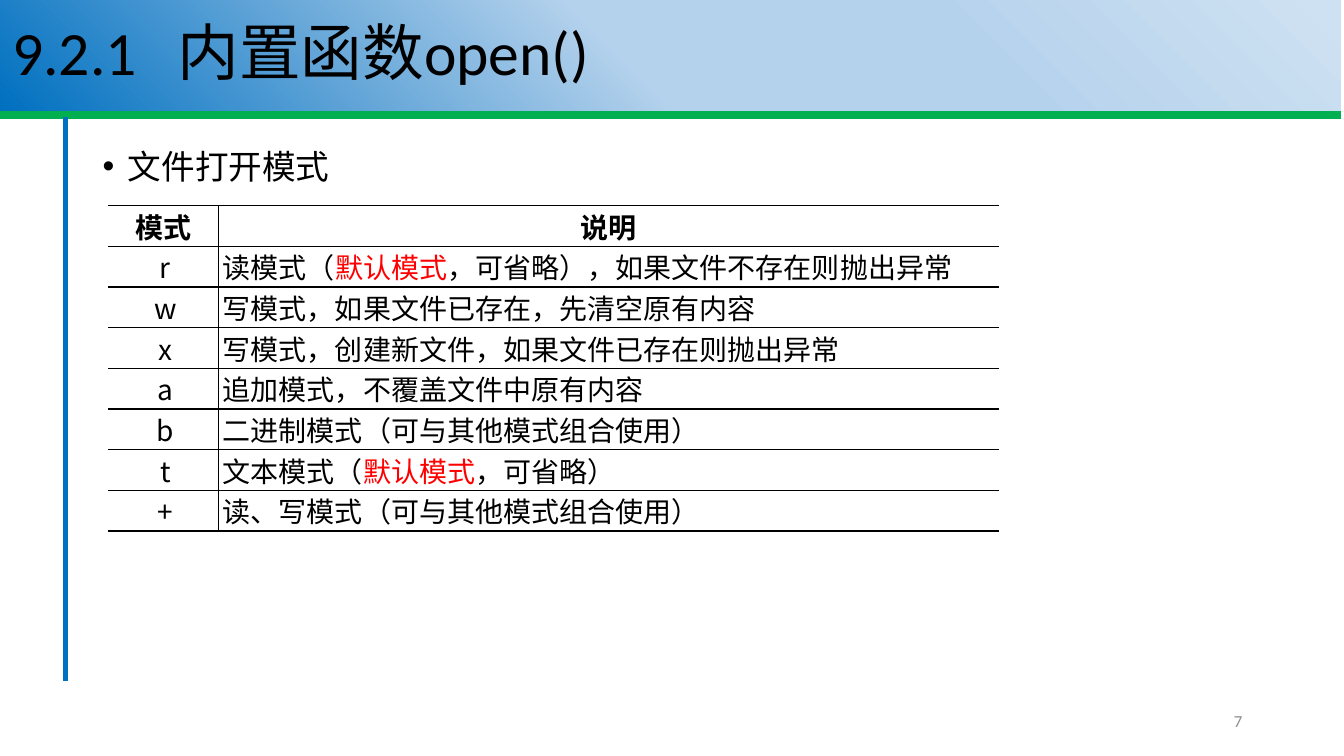
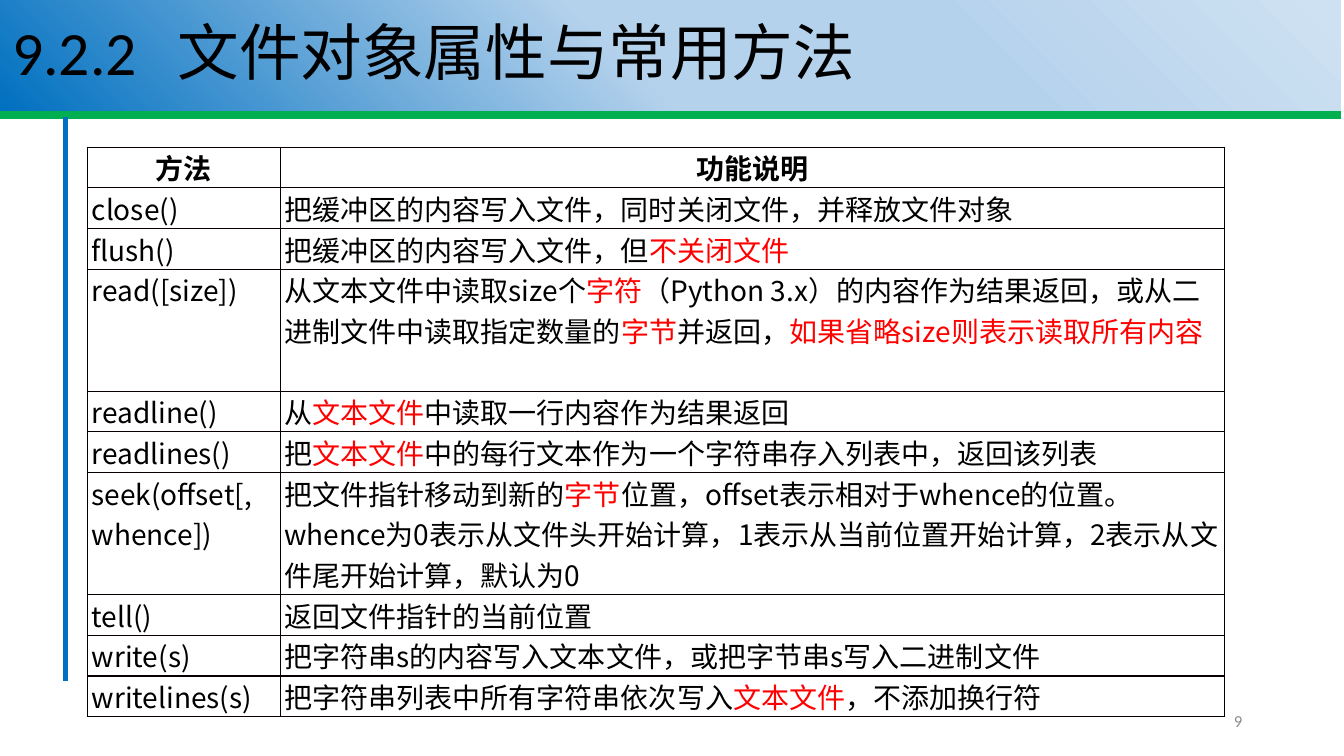
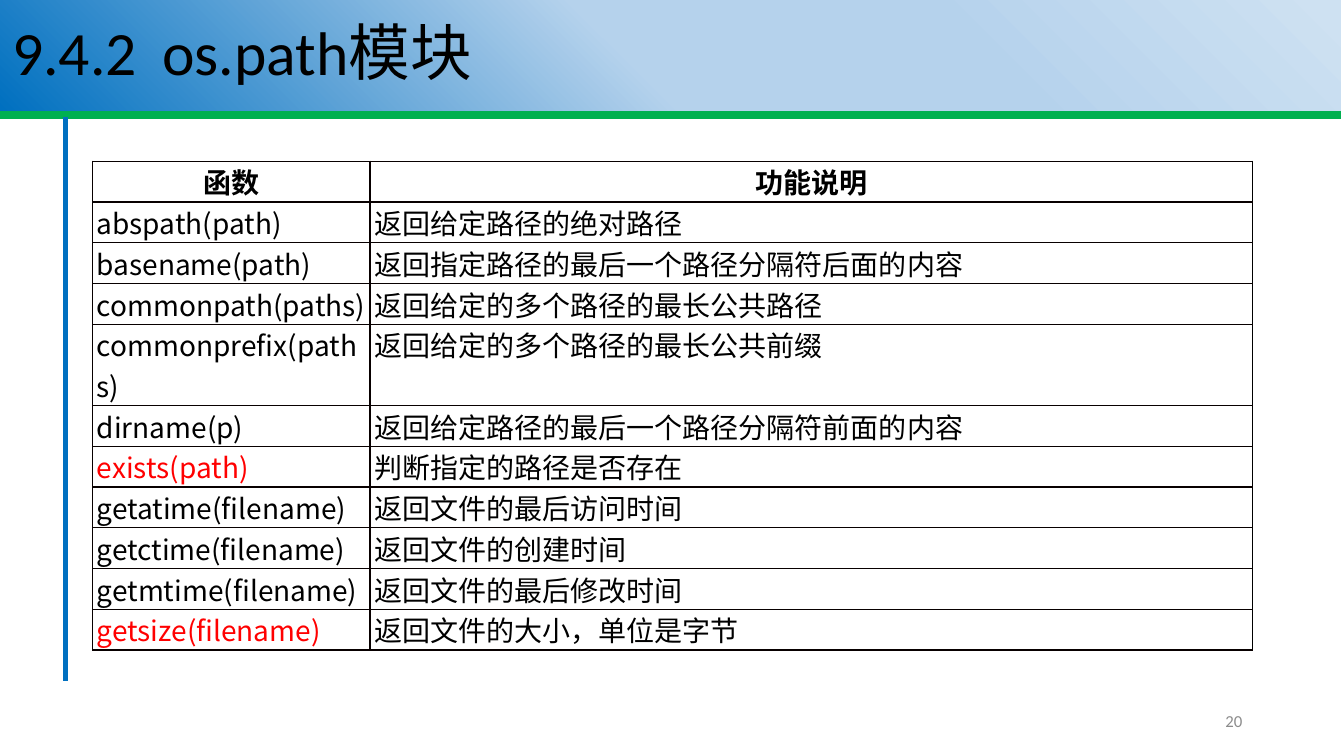
from lxml import etree
from pptx import Presentation
from pptx.dml.color import RGBColor
from pptx.enum.shapes import MSO_CONNECTOR, MSO_SHAPE
from pptx.enum.text import MSO_ANCHOR, PP_ALIGN
from pptx.oxml.ns import qn
from pptx.util import Inches, Pt

STRAIGHT, RECTANGLE = MSO_CONNECTOR.STRAIGHT, MSO_SHAPE.RECTANGLE
MIDDLE = MSO_ANCHOR.MIDDLE
LEFT, CENTER, RIGHT = PP_ALIGN.LEFT, PP_ALIGN.CENTER, PP_ALIGN.RIGHT

BLACK = RGBColor(0x00, 0x00, 0x00)
GRID = RGBColor(0x08, 0x00, 0x00)
RED = RGBColor(0xFF, 0x00, 0x00)
GREEN = RGBColor(0x00, 0xB0, 0x50)
BLUE = RGBColor(0x00, 0x70, 0xC0)
SKY = RGBColor(0xB5, 0xD2, 0xEC)
PALE = RGBColor(0xCE, 0xE1, 0xF2)
GRAY = RGBColor(0x8C, 0x8C, 0x8C)
BAND_STOPS = [(1, PALE), (29, SKY), (53, SKY), (100, BLUE)]

TEXT_FONT, CJK_FONT = "Calibri", "Noto Sans CJK SC"
BAND_BOX = (0, 0, 13.3, 1.1)
NUMBER_BOX = (9.42, 6.95, 3, 0.4)

# Text between asterisks is shown in red.
MODES = [
    ("模式", "说明"),
    ("r", "读模式（*默认模式*，可省略），如果文件不存在则抛出异常"),
    ("w", "写模式，如果文件已存在，先清空原有内容"),
    ("x", "写模式，创建新文件，如果文件已存在则抛出异常"),
    ("a", "追加模式，不覆盖文件中原有内容"),
    ("b", "二进制模式（可与其他模式组合使用）"),
    ("t", "文本模式（*默认模式*，可省略）"),
    ("+", "读、写模式（可与其他模式组合使用）"),
]
METHODS = [
    ("方法", "功能说明"),
    ("close()", "把缓冲区的内容写入文件，同时关闭文件，并释放文件对象"),
    ("flush()", "把缓冲区的内容写入文件，但*不关闭文件*"),
    ("read([size])", "从文本文件中读取size个*字符*（Python 3.x）的内容作为结果返回，"
     "或从二进制文件中读取指定数量的*字节*并返回，*如果省略size则表示读取所有内容*"),
    ("readline()", "从*文本文件*中读取一行内容作为结果返回"),
    ("readlines()", "把*文本文件*中的每行文本作为一个字符串存入列表中，返回该列表"),
    ("seek(offset[, whence])", "把文件指针移动到新的*字节*位置，offset表示相对于whence的位置。"
     "whence为0表示从文件头开始计算，1表示从当前位置开始计算，2表示从文件尾开始计算，默认为0"),
    ("tell()", "返回文件指针的当前位置"),
    ("write(s)", "把字符串s的内容写入文本文件，或把字节串s写入二进制文件"),
    ("writelines(s)", "把字符串列表中所有字符串依次写入*文本文件*，不添加换行符"),
]
FUNCTIONS = [
    ("函数", "功能说明"),
    ("abspath(path)", "返回给定路径的绝对路径"),
    ("basename(path)", "返回指定路径的最后一个路径分隔符后面的内容"),
    ("commonpath(paths)", "返回给定的多个路径的最长公共路径"),
    ("commonprefix(paths)", "返回给定的多个路径的最长公共前缀"),
    ("dirname(p)", "返回给定路径的最后一个路径分隔符前面的内容"),
    ("*exists(path)*", "判断指定的路径是否存在"),
    ("getatime(filename)", "返回文件的最后访问时间"),
    ("getctime(filename)", "返回文件的创建时间"),
    ("getmtime(filename)", "返回文件的最后修改时间"),
    ("*getsize(filename)*", "返回文件的大小，单位是字节"),
]


def inches(box):
    """Turn a left, top, width, height box into lengths."""
    return [Inches(value) for value in box]


def add_xml(parent, tag, **attributes):
    """Append a drawing element with the given attributes."""
    return etree.SubElement(parent, qn(tag), attributes)


def write_text(frame, text, size=20, font=TEXT_FONT, color=BLACK, bold=False,
               align=LEFT, spacing=None, before=None):
    """Write one formatted paragraph into a text frame and return it."""
    frame.word_wrap = True
    para = frame.paragraphs[0]
    para.alignment = align
    if spacing is not None:
        para.line_spacing = spacing
    if before is not None:
        para.space_before = Pt(before)
    for index, piece in enumerate(text.split("*")):
        if not piece:
            continue
        span = para.add_run()
        span.text = piece
        span.font.size = Pt(size)
        span.font.name = font
        span.font.bold = bold
        span.font.color.rgb = RED if index % 2 else color
        add_xml(span.font._element, "a:ea", typeface=CJK_FONT)
    return para


def add_rule(page, start, end, color, width):
    """Draw a straight line between two points."""
    rule = page.shapes.add_connector(STRAIGHT, *inches(start + end))
    rule.line.color.rgb = color
    rule.line.width = Pt(width)
    add_xml(rule._element.spPr, "a:effectLst")


def add_title_band(page, box, number, title, title_indent):
    """Draw the gradient band with the section number and its title."""
    band = page.shapes.add_shape(RECTANGLE, *inches(box))
    band.shadow.inherit = False
    band.line.fill.background()
    band.fill.gradient()
    band.fill.gradient_angle = 225
    stops = band._element.spPr.find(".//" + qn("a:gsLst"))
    stops.clear()
    for position, color in BAND_STOPS:
        stop = add_xml(stops, "a:gs", pos=str(position * 1000))
        add_xml(stop, "a:srgbClr", val=str(color))
    band.text_frame.vertical_anchor = MIDDLE
    band.text_frame.margin_left = Inches(0.12)
    para = write_text(band.text_frame, f"{number}\t{title}", size=44, spacing=0.9)
    tabs = add_xml(para._p.get_or_add_pPr(), "a:tabLst")
    add_xml(tabs, "a:tab", pos=str(Inches(title_indent)), algn="l")


def add_page_number(page, box, number):
    """Write the slide number at the right of its box."""
    label = page.shapes.add_textbox(*inches(box))
    label.text_frame.vertical_anchor = MIDDLE
    write_text(label.text_frame, str(number), size=12, color=GRAY, align=RIGHT)


def add_bullet(page, box, text):
    """Write one bulleted line."""
    body = page.shapes.add_textbox(*inches(box))
    para = write_text(body.text_frame, text, size=24, spacing=0.9, before=10)
    properties = para._p.get_or_add_pPr()
    properties.set("marL", str(Inches(0.25)))
    properties.set("indent", str(Inches(-0.25)))
    add_xml(properties, "a:buFont", typeface="Arial")
    add_xml(properties, "a:buChar", char="•")


def set_borders(cell, edges):
    """Set the left, right, top and bottom borders; None hides one."""
    properties = cell._tc.get_or_add_tcPr()
    for index, (side, edge) in enumerate(zip("LRTB", edges)):
        border = etree.Element(qn(f"a:ln{side}"))
        if edge is None:
            add_xml(border, "a:noFill")
        else:
            color, width = edge
            border.set("w", str(Pt(width)))
            add_xml(add_xml(border, "a:solidFill"), "a:srgbClr", val=str(color))
        properties.insert(index, border)


def add_reference_table(page, box, rows, columns, tall_rows=None, edge=(GRID, 1),
                        left_edge=(GRID, 1), right_edge=(BLACK, 0.75), key_align=LEFT):
    """Draw a two-column table; tall_rows maps a row to its count of text lines."""
    table = page.shapes.add_table(len(rows), len(columns), *inches(box)).table
    table.first_row = table.horz_banding = False
    for column, width in zip(table.columns, columns):
        column.width = Inches(width)
    line_counts = [(tall_rows or {}).get(index, 1) for index in range(len(rows))]
    line_height = box[3] / sum(line_counts)
    for row, lines, texts in zip(table.rows, line_counts, rows):
        row.height = Inches(lines * line_height)
        heading = texts is rows[0]
        for index, (cell, text) in enumerate(zip(row.cells, texts)):
            cell.margin_left = Inches(0 if heading else 0.04)
            cell.margin_right = cell.margin_top = cell.margin_bottom = 0
            cell.fill.background()
            align = CENTER if heading else (key_align, LEFT)[index]
            write_text(cell.text_frame, text, font=CJK_FONT, bold=heading, align=align)
            sides = (left_edge, edge) if index == 0 else (edge, right_edge)
            set_borders(cell, (*sides, edge, edge))


def add_page(deck, section, title, number, title_indent=1.64):
    """Add a slide with the shared rules, title band and number."""
    page = deck.slides.add_slide(deck.slide_layouts[6])
    add_rule(page, (0, 1.14), (13.3, 1.14), GREEN, 5.25)
    add_rule(page, (0.65, 1.16), (0.65, 6.76), BLUE, 3.75)
    add_title_band(page, BAND_BOX, section, title, title_indent)
    add_page_number(page, NUMBER_BOX, number)
    return page


def main():
    """Build and save the deck."""
    deck = Presentation()
    deck.slide_width, deck.slide_height = Inches(13.33), Inches(7.5)

    page = add_page(deck, "9.2.1", "内置函数open()", 7)
    add_bullet(page, (0.92, 1.44, 11.5, 5.07), "文件打开模式")
    add_reference_table(page, (1.07, 2.04, 8.84, 3.23), MODES, (1.1, 7.74),
                        edge=(BLACK, 1), left_edge=None, right_edge=None,
                        key_align=CENTER)

    page = add_page(deck, "9.2.2", "文件对象属性与常用方法", 9)
    add_reference_table(page, (0.87, 1.46, 11.27, 5.65), METHODS, (1.91, 9.36),
                        tall_rows={3: 3, 6: 3})

    page = add_page(deck, "9.4.2", "os.path模块", 20, title_indent=1.49)
    add_reference_table(page, (0.92, 1.6, 11.5, 4.85), FUNCTIONS, (2.75, 8.75),
                        tall_rows={4: 2})

    deck.save("out.pptx")


main()
